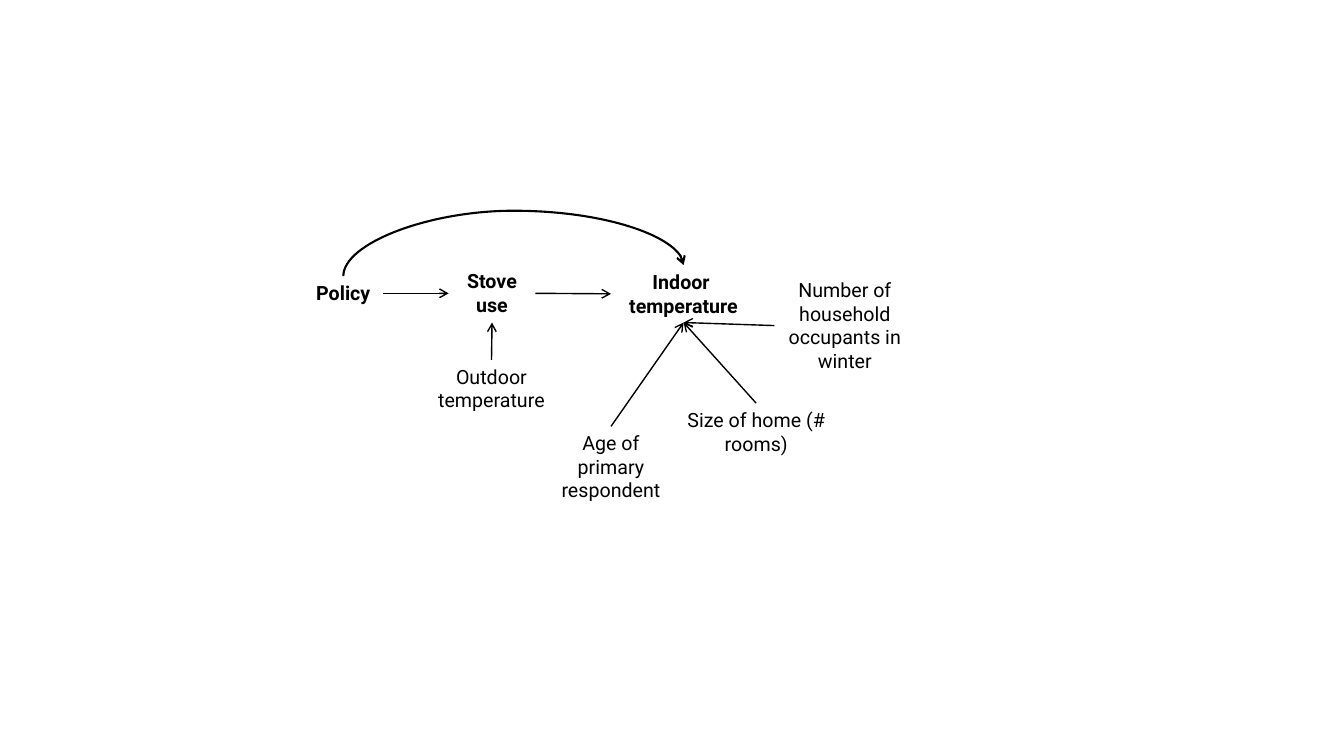
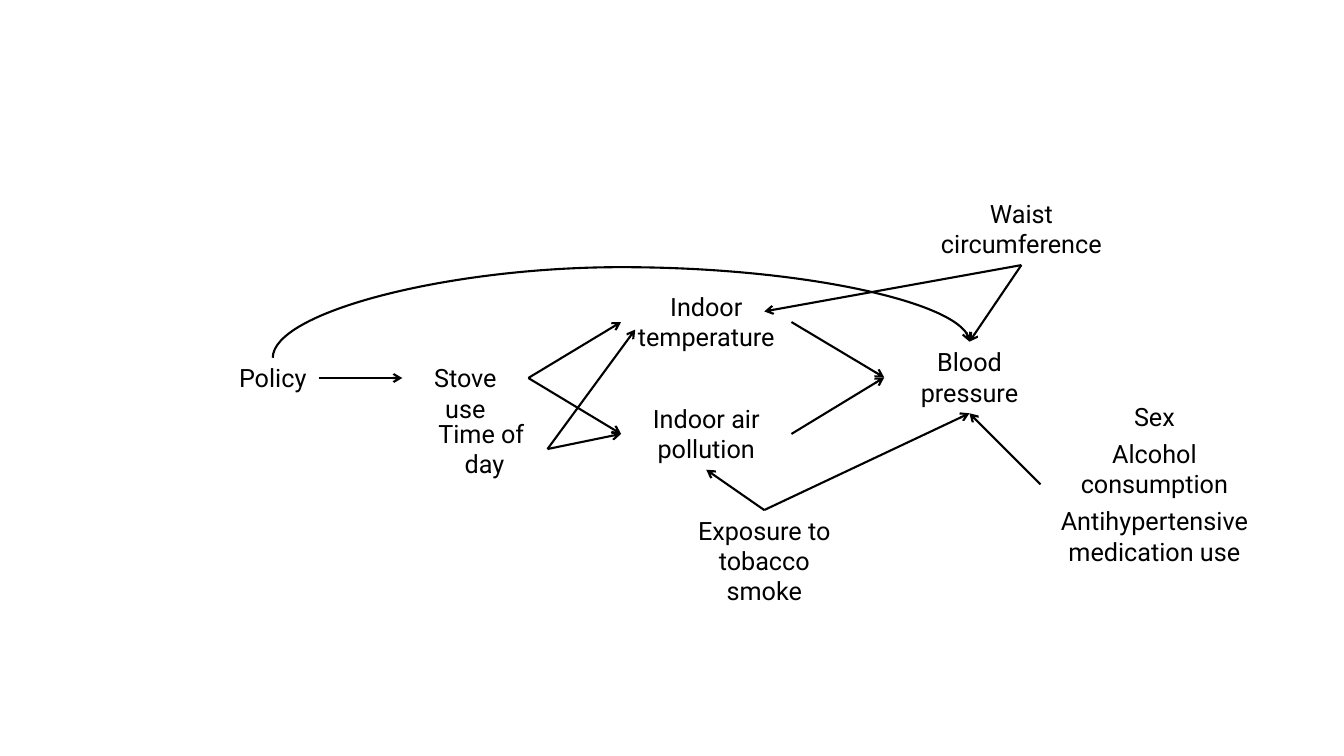
from pptx import Presentation
from pptx.dml.color import RGBColor
from pptx.enum.shapes import MSO_CONNECTOR
from pptx.enum.text import MSO_ANCHOR, MSO_AUTO_SIZE, PP_ALIGN
from pptx.oxml.ns import qn
from pptx.util import Inches, Pt
from lxml import etree

STRAIGHT, CURVE = MSO_CONNECTOR.STRAIGHT, MSO_CONNECTOR.CURVE
CENTER = PP_ALIGN.CENTER
ANCHOR_TOP = MSO_ANCHOR.TOP
GROW = MSO_AUTO_SIZE.SHAPE_TO_FIT_TEXT
TOP, LEFT, BOTTOM, RIGHT = range(4)

COLORS = {"ink": "000000", "paper": "FFFFFF"}
FONT = "Roboto"
QUARTER_TURN = "5400000"


class CausalDiagram:
    """One slide of text nodes joined by arrows."""

    def __init__(self, presentation, text_size, line_width):
        self.slide = presentation.slides.add_slide(presentation.slide_layouts[6])
        self.text_size = Pt(text_size)
        self.line_width = Pt(line_width)
        self.ink = RGBColor.from_string(COLORS["ink"])
        fill = self.slide.background.fill
        fill.solid()
        fill.fore_color.rgb = RGBColor.from_string(COLORS["paper"])

    def node(self, text, left, top, width, height, bold=False, gap=0):
        """Add a centred label; gap is the space in points between paragraphs."""
        shape = self.slide.shapes.add_textbox(
            Inches(left), Inches(top), Inches(width), Inches(height))
        text_frame = shape.text_frame
        text_frame.word_wrap = True
        text_frame.auto_size = GROW
        text_frame.vertical_anchor = ANCHOR_TOP
        text_frame.text = text
        for index, paragraph in enumerate(text_frame.paragraphs):
            paragraph.alignment = CENTER
            if index and gap:
                paragraph.space_before = Pt(gap)
            for run in paragraph.runs:
                run.font.name = FONT
                run.font.size = self.text_size
                run.font.bold = bold
                run.font.color.rgb = self.ink
        return shape

    def style_arrow(self, connector, width):
        connector.line.color.rgb = self.ink
        connector.line.width = width
        properties = connector.element.spPr
        head = etree.SubElement(properties.find(qn("a:ln")), qn("a:tailEnd"))
        head.set("type", "arrow")
        etree.SubElement(properties, qn("a:effectLst"))

    def arrow(self, source, source_side, target, target_side=None):
        """Join two nodes; a target without a side is an (x, y) point in inches."""
        x, y = (0, 0) if target_side is not None else target
        connector = self.slide.shapes.add_connector(
            STRAIGHT, 0, 0, Inches(x), Inches(y))
        connector.begin_connect(source, source_side)
        if target_side is not None:
            connector.end_connect(target, target_side)
        self.style_arrow(connector, self.line_width)

    def arc(self, source, target, apex):
        """Curve from the top of source over the height apex to the top of target."""
        start_x = source.left + source.width // 2
        end_x = target.left + target.width // 2
        rise, span = source.top - target.top, end_x - start_x
        center_x = (start_x + end_x) // 2
        center_y = (source.top + target.top) // 2
        # The curve is laid out upright, then turned by 90 degrees about its centre.
        connector = self.slide.shapes.add_connector(
            CURVE,
            center_x + rise // 2, center_y + span // 2,
            center_x - rise // 2, center_y - span // 2)
        properties = connector.element.spPr
        properties.find(qn("a:xfrm")).set("rot", QUARTER_TURN)
        bend = round((source.top - Inches(apex)) / rise * 100000)
        guides = properties.find(qn("a:prstGeom")).find(qn("a:avLst"))
        guide = etree.SubElement(guides, qn("a:gd"))
        guide.set("name", "adj1")
        guide.set("fmla", f"val {bend}")
        self.style_arrow(connector, Pt(1.5))


def build_temperature_slide(presentation):
    diagram = CausalDiagram(presentation, text_size=14, line_width=1)
    policy = diagram.node("Policy", 3.01, 2.74, 0.79, 0.34, bold=True)
    stove = diagram.node("Stove use", 4.45, 2.62, 0.86, 0.58, bold=True)
    indoor = diagram.node("Indoor \ntemperature", 6.06, 2.63, 1.44, 0.57, bold=True)
    outdoor = diagram.node("Outdoor temperature", 4.21, 3.57, 1.33, 0.57)
    age = diagram.node("Age of primary respondent", 5.34, 4.23, 1.44, 0.57)
    home = diagram.node("Size of home (# rooms)", 6.64, 4, 1.72, 0.57)
    occupants = diagram.node(
        "Number of household occupants in winter", 7.68, 2.71, 1.4, 1.04)

    diagram.arrow(policy, RIGHT, stove, LEFT)
    diagram.arrow(stove, RIGHT, indoor, LEFT)
    diagram.arrow(outdoor, TOP, stove, BOTTOM)
    for cause, side in ((home, TOP), (occupants, LEFT), (age, TOP)):
        diagram.arrow(cause, side, indoor, BOTTOM)
    diagram.arc(policy, indoor, apex=2.09)


def build_pressure_slide(presentation):
    diagram = CausalDiagram(presentation, text_size=18, line_width=1.5)
    policy = diagram.node("Policy", 2.25, 3.55, 0.91, 0.4)
    pressure = diagram.node("Blood pressure", 8.77, 3.39, 1.69, 0.71)
    temperature = diagram.node("Indoor temperature", 6.16, 2.84, 1.69, 0.71)
    pollution = diagram.node("Indoor air pollution", 6.16, 3.95, 1.69, 0.71)
    stove = diagram.node("Stove use", 3.99, 3.55, 1.25, 0.4)
    time = diagram.node("Time of \nday", 4.18, 4.1, 1.25, 0.71)
    smoke = diagram.node("Exposure to tobacco smoke", 6.67, 5.06, 1.82, 1.01)
    personal = diagram.node(
        "Sex\nAlcohol consumption\nAntihypertensive medication use",
        10.32, 3.93, 2.26, 1.75, gap=5)
    waist = diagram.node("Waist circumference", 9.22, 1.92, 1.82, 0.71)

    diagram.arrow(policy, RIGHT, stove, LEFT)
    for mediator in (temperature, pollution):
        diagram.arrow(stove, RIGHT, mediator, LEFT)
        diagram.arrow(mediator, RIGHT, pressure, LEFT)
    diagram.arc(policy, pressure, apex=2.65)
    diagram.arrow(time, RIGHT, (6.3, 3.27))
    diagram.arrow(time, RIGHT, pollution, LEFT)
    diagram.arrow(smoke, TOP, pollution, BOTTOM)
    diagram.arrow(smoke, TOP, pressure, BOTTOM)
    diagram.arrow(personal, LEFT, pressure, BOTTOM)
    diagram.arrow(waist, BOTTOM, (7.58, 3.09))
    diagram.arrow(waist, BOTTOM, pressure, TOP)


def main():
    presentation = Presentation()
    presentation.slide_width = Inches(13.33)
    presentation.slide_height = Inches(7.5)
    build_temperature_slide(presentation)
    build_pressure_slide(presentation)
    presentation.save("out.pptx")


if __name__ == "__main__":
    main()
